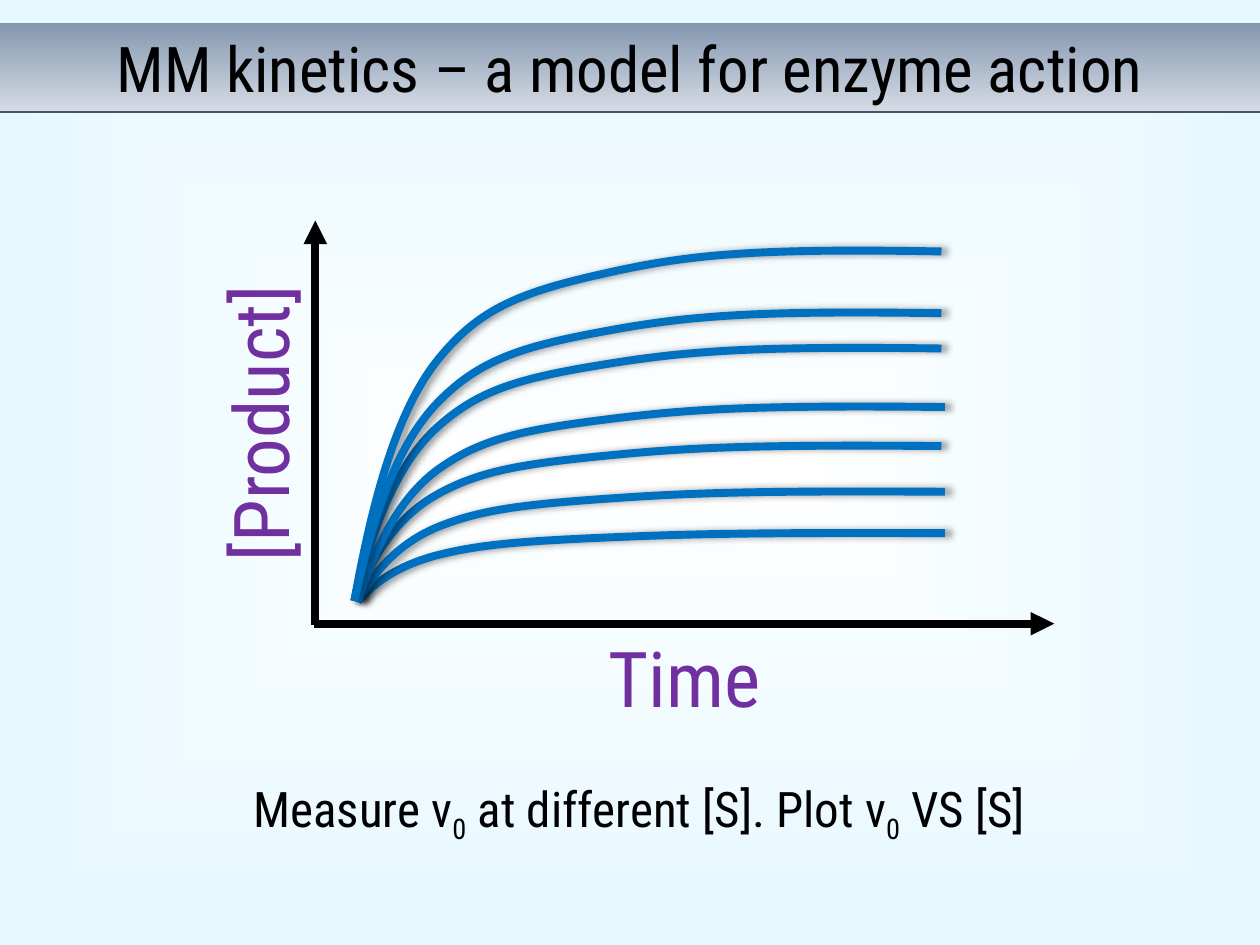
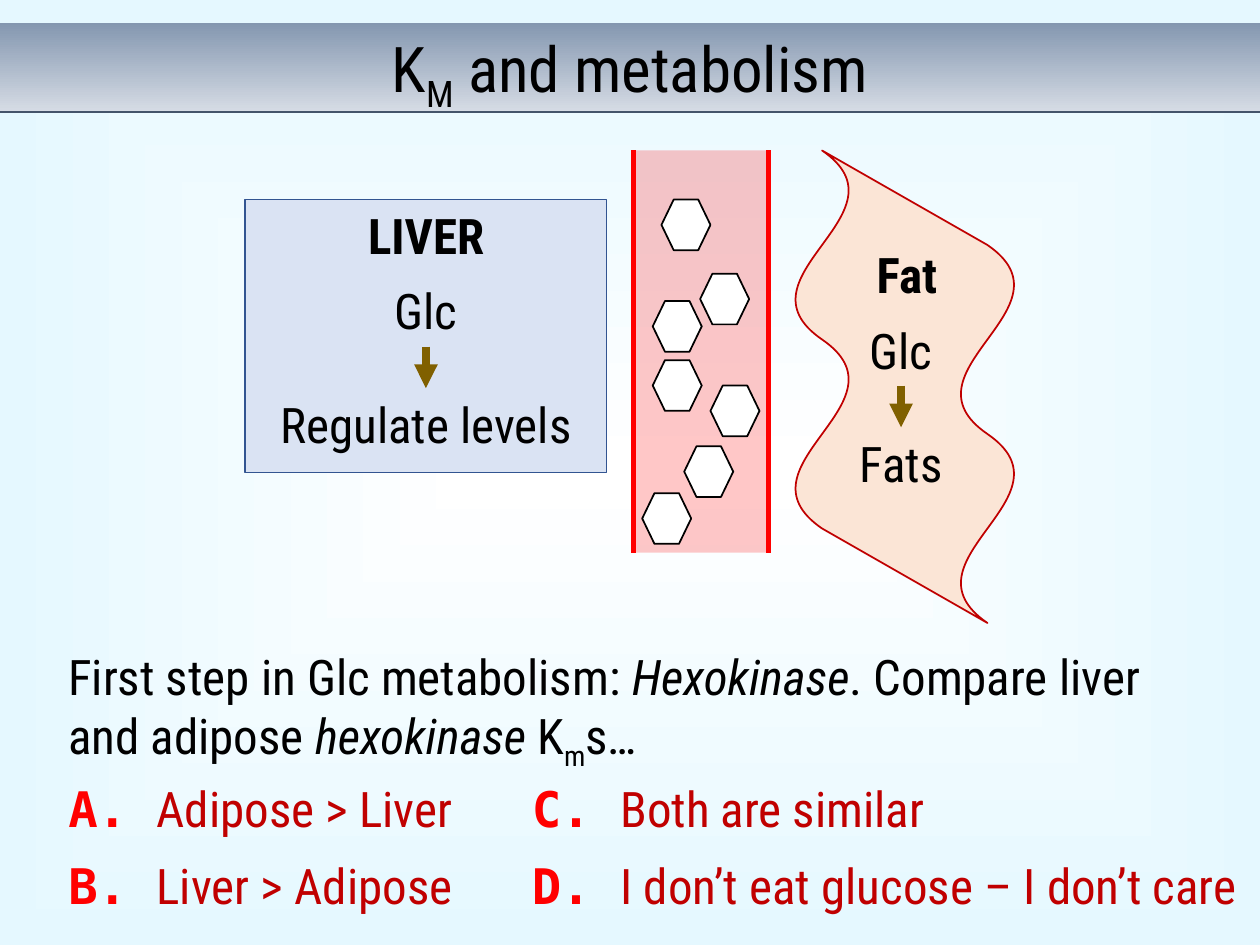
from dataclasses import dataclass

from lxml.etree import SubElement
from pptx import Presentation
from pptx.dml.color import RGBColor
from pptx.enum.shapes import MSO_CONNECTOR, MSO_SHAPE
from pptx.enum.text import MSO_ANCHOR, MSO_AUTO_SIZE, PP_ALIGN
from pptx.oxml.ns import qn
from pptx.util import Pt


@dataclass(frozen=True)
class Theme:
    font: str = "Roboto Condensed"
    letter_font: str = "DejaVu Sans Mono"
    title_size: int = 36
    axis_size: int = 44
    text_size: int = 28
    black: str = "000000"
    white: str = "FFFFFF"
    edge: str = "E5F8FF"
    band_low: str = "D6DCE5"
    band_high: str = "8497B0"
    band_rule: str = "44546A"
    axis_label: str = "7030A0"
    curve: str = "0070C0"
    blood: str = "FF0000"
    step: str = "806000"
    liver: str = "DAE3F3"
    liver_line: str = "325491"
    fat: str = "FBE5D6"
    dark_red: str = "C00000"


THEME = Theme()
SUB = {"baseline": -25000}
BOLD = {"bold": True}
ITALIC = {"italic": True}

# Content: rich text is a list of (words, format) pairs; lengths are points.
KINETICS_TITLE = [("MM kinetics – a model for enzyme action", {})]
KINETICS_CAPTION = [("Measure v", {}), ("0", SUB), (" at different [S]. Plot v", {}),
                    ("0", SUB), (" VS [S]", {})]
AXES = [((180.2, 357), (180.2, 126)), ((179.3, 356.4), (602.4, 356.4))]
AXIS_LABELS = [("[Product]", (66.2, 211.7, 164.2, 60.5), 270),
               ("Time", (340.6, 356.6, 101.5, 60.5), 0)]
CURVE_BASE = 343.4
# (left end, plateau height on the slide) for each substrate level
CURVES = [(202.5, 143.7), (202.5, 254.9), (204.5, 304.7), (202.5, 199.2),
          (204.5, 281), (204.5, 232.6), (202.5, 179)]
# Bezier points of a saturation curve: points from the left, percent of plateau
SATURATION = [(0, 0), (9.4, 26), (22.3, 52), (45.4, 67.5),
              (69.1, 83), (92.2, 88), (141.1, 93.5),
              (189.4, 99), (225.4, 101), (335.5, 100)]

METABOLISM_TITLE = [("K", {}), ("M", SUB), (" and metabolism", {})]
VESSEL = (362.2, 85.9, 77, 229.9)
GLUCOSE_SIZE = (28, 29)
GLUCOSE = [(378, 114), (400.1, 156.4), (373, 172), (373, 205.8),
           (391, 255), (406, 220.3), (367, 281.8)]
ORGANS = [
    {"kind": MSO_SHAPE.RECTANGLE, "box": (140, 114, 206.6, 156), "turn": 0,
     "waves": (), "fill": THEME.liver, "line": THEME.liver_line,
     "steps": ("LIVER", "Glc", "Regulate levels"), "top": 113.8,
     "heading_x": 243.5, "x": 243.4},
    {"kind": MSO_SHAPE.DOUBLE_WAVE, "box": (382, 158, 270, 126), "turn": 90,
     "waves": (0.125, -0.1), "fill": THEME.fat, "line": THEME.dark_red,
     "steps": ("Fat", "Glc", "Fats"), "top": 136.2,
     "heading_x": 518.3, "x": 514.9},
]
STEP_OFFSETS = (0, 43.2, 108)
STEP_SIZE = (196, 41)
QUESTION = [("First step in Glc metabolism: ", {}), ("Hexokinase", ITALIC),
            (". Compare liver and adipose ", {}), ("hexokinase ", ITALIC),
            ("K", {}), ("m", SUB), ("s…", {})]
QUESTION_BOX = (39, 365.8, 658, 75)
ANSWERS = [("A. ", "Adipose > Liver"), ("B. ", "Liver > Adipose"),
           ("C. ", "Both are similar"), ("D. ", "I don’t eat glucose – I don’t care")]
ANSWER_COLUMNS = [(39, 240), (304, 410)]
ANSWER_ROWS = (441.4, 485.3)


def rgb(code):
    return RGBColor.from_string(code)


def pts(*lengths):
    return [Pt(length) for length in lengths]


def set_all(target, values):
    for name, value in values.items():
        setattr(target, name, value)


def place(shape, box):
    set_all(shape, dict(zip(("left", "top", "width", "height"), pts(*box))))


def set_frame(frame, wrap):
    set_all(frame, {"margin_left": 0, "margin_right": 0, "margin_top": Pt(3.6),
                    "margin_bottom": Pt(3.6), "word_wrap": wrap,
                    "auto_size": MSO_AUTO_SIZE.NONE,
                    "vertical_anchor": MSO_ANCHOR.TOP})


def write(paragraph, pieces, size=THEME.text_size, color=THEME.black,
          align=PP_ALIGN.CENTER):
    """Fill a paragraph; a piece's format may override font, colour and baseline."""
    set_all(paragraph, {"alignment": align, "space_before": Pt(0)})
    for words, format_values in pieces:
        run = paragraph.add_run()
        run.text = words
        values = {"name": THEME.font, "size": Pt(size), "bold": False, **format_values}
        baseline = values.pop("baseline", None)
        run.font.color.rgb = rgb(values.pop("color", color))
        set_all(run.font, values)
        if baseline:
            run.font._element.set("baseline", str(baseline))


def add_text(slide, box, pieces, wrap=False, turn=0, **style):
    label = slide.shapes.add_textbox(*pts(*box))
    label.rotation = turn
    set_frame(label.text_frame, wrap)
    write(label.text_frame.paragraphs[0], pieces, **style)


def add_line(slide, start, end, color, width, arrow=False):
    line = slide.shapes.add_connector(MSO_CONNECTOR.STRAIGHT, *pts(*start, *end))
    line.line.color.rgb = rgb(color)
    line.line.width = Pt(width)
    if arrow:
        SubElement(line.line._get_or_add_ln(), qn("a:tailEnd"), type="triangle")
    SubElement(line._element.spPr, qn("a:effectLst"))


def add_solid(slide, kind, box, fill, outline=None):
    shape = slide.shapes.add_shape(kind, *pts(*box))
    shape.shadow.inherit = False
    shape.fill.solid()
    shape.fill.fore_color.rgb = rgb(fill)
    if outline:
        shape.line.color.rgb = rgb(outline)
        shape.line.width = Pt(1)
    else:
        shape.line.fill.background()
    return shape


def set_gradient(fill, *colors):
    fill.gradient()
    for stop, color in zip(fill.gradient_stops, colors):
        stop.color.rgb = rgb(color)


def set_background(master):
    """Gradient spreading from the middle of every slide to its edges."""
    set_gradient(master.background.fill, THEME.white, THEME.edge)
    gradient = master.element.find(".//" + qn("a:gradFill"))
    gradient.remove(gradient.find(qn("a:lin")))
    spread = SubElement(gradient, qn("a:path"), path="shape")
    SubElement(spread, qn("a:fillToRect"),
               dict.fromkeys(("l", "t", "r", "b"), "50000"))


def add_titled_slide(prs, layout, title):
    slide = prs.slides.add_slide(prs.slide_layouts.get_by_name(layout))
    band = slide.shapes.title
    place(band, (0, 13, 720, 51))
    set_gradient(band.fill, THEME.band_low, THEME.band_high)
    band.fill.gradient_angle = 90
    set_frame(band.text_frame, True)
    write(band.text_frame.paragraphs[0], title, size=THEME.title_size)
    add_line(slide, (0, 64), (720, 64), THEME.band_rule, 1)
    return slide


def bend(curve):
    """Turn every three line segments of a freeform into one cubic Bezier."""
    outline = curve._element.find(".//" + qn("a:path"))
    segments = outline.findall(qn("a:lnTo"))
    for first in range(0, len(segments), 3):
        bezier = SubElement(outline, qn("a:cubicBezTo"))
        for segment in segments[first:first + 3]:
            bezier.append(segment.find(qn("a:pt")))
            outline.remove(segment)


def add_curve(slide, left, plateau):
    rise = (CURVE_BASE - plateau) / 100
    points = [pts(left + x, CURVE_BASE - percent * rise) for x, percent in SATURATION]
    builder = slide.shapes.build_freeform(*points[0])
    builder.add_line_segments(points[1:], close=False)
    curve = builder.convert_to_shape()
    bend(curve)
    curve.fill.background()
    curve.line.color.rgb = rgb(THEME.curve)
    curve.line.width = Pt(4.5)
    effects = SubElement(curve._element.spPr, qn("a:effectLst"))
    shadow = SubElement(effects, qn("a:outerShdw"), blurRad=str(Pt(4)),
                        dist=str(Pt(3)), dir="0", algn="l", rotWithShape="0")
    tint = SubElement(shadow, qn("a:srgbClr"), val=THEME.black)
    SubElement(tint, qn("a:alpha"), val="40000")


def add_vessel(slide):
    left, top, width, height = VESSEL
    lumen = add_solid(slide, MSO_SHAPE.RECTANGLE, VESSEL, THEME.blood)
    tint = lumen._element.spPr.find(qn("a:solidFill")).find(qn("a:srgbClr"))
    SubElement(tint, qn("a:alpha"), val="22000")
    for wall in (left, left + width):
        add_line(slide, (wall, top + height), (wall, top), THEME.blood, 3)
    for corner in GLUCOSE:
        add_solid(slide, MSO_SHAPE.HEXAGON, corner + GLUCOSE_SIZE,
                  THEME.white, THEME.black)


def add_organ(slide, organ):
    body = add_solid(slide, organ["kind"], organ["box"], organ["fill"], organ["line"])
    body.rotation = organ["turn"]
    for index, wave in enumerate(organ["waves"]):
        body.adjustments[index] = wave
    width, height = STEP_SIZE
    centers = (organ["heading_x"], organ["x"], organ["x"])
    for words, center, offset, style in zip(organ["steps"], centers, STEP_OFFSETS,
                                            (BOLD, {}, {})):
        box = (center - width / 2, organ["top"] + offset, width, height)
        add_text(slide, box, [(words, style)])
    glucose_y, product_y = (organ["top"] + offset for offset in STEP_OFFSETS[1:])
    add_line(slide, (organ["x"], glucose_y + height), (organ["x"], product_y),
             THEME.step, 4.5, arrow=True)


def fill_answer(placeholder, box, letter, answer):
    place(placeholder, box)
    set_frame(placeholder.text_frame, True)
    paragraph = placeholder.text_frame.paragraphs[0]
    letter_style = {"name": THEME.letter_font, "color": THEME.blood, **BOLD}
    write(paragraph, [(letter, letter_style), (answer, {})],
          color=THEME.dark_red, align=PP_ALIGN.LEFT)
    properties = paragraph._p.get_or_add_pPr()
    properties.attrib.update({"marL": "0", "indent": "0"})
    SubElement(properties, qn("a:buNone"))


def build_kinetics(prs):
    slide = add_titled_slide(prs, "Title Only", KINETICS_TITLE)
    add_text(slide, (143.3, 441.4, 444.2, 41), KINETICS_CAPTION)
    for start, end in AXES:
        add_line(slide, start, end, THEME.black, 4.5, arrow=True)
    for words, box, turn in AXIS_LABELS:
        add_text(slide, box, [(words, {})], turn=turn,
                 size=THEME.axis_size, color=THEME.axis_label)
    for left, plateau in CURVES:
        add_curve(slide, left, plateau)


def build_metabolism(prs):
    slide = add_titled_slide(prs, "Comparison", METABOLISM_TITLE)
    add_vessel(slide)
    for organ in ORGANS:
        add_organ(slide, organ)
    add_text(slide, QUESTION_BOX, QUESTION, wrap=True, align=PP_ALIGN.LEFT)
    for index, (letter, answer) in enumerate(ANSWERS):
        column, row = divmod(index, len(ANSWER_ROWS))
        left, width = ANSWER_COLUMNS[column]
        fill_answer(slide.placeholders[index + 1],
                    (left, ANSWER_ROWS[row], width, 41), letter, answer)


def main():
    prs = Presentation()
    prs.slide_width, prs.slide_height = pts(720, 540)
    set_background(prs.slide_master)
    build_kinetics(prs)
    build_metabolism(prs)
    prs.save("out.pptx")


if __name__ == "__main__":
    main()
